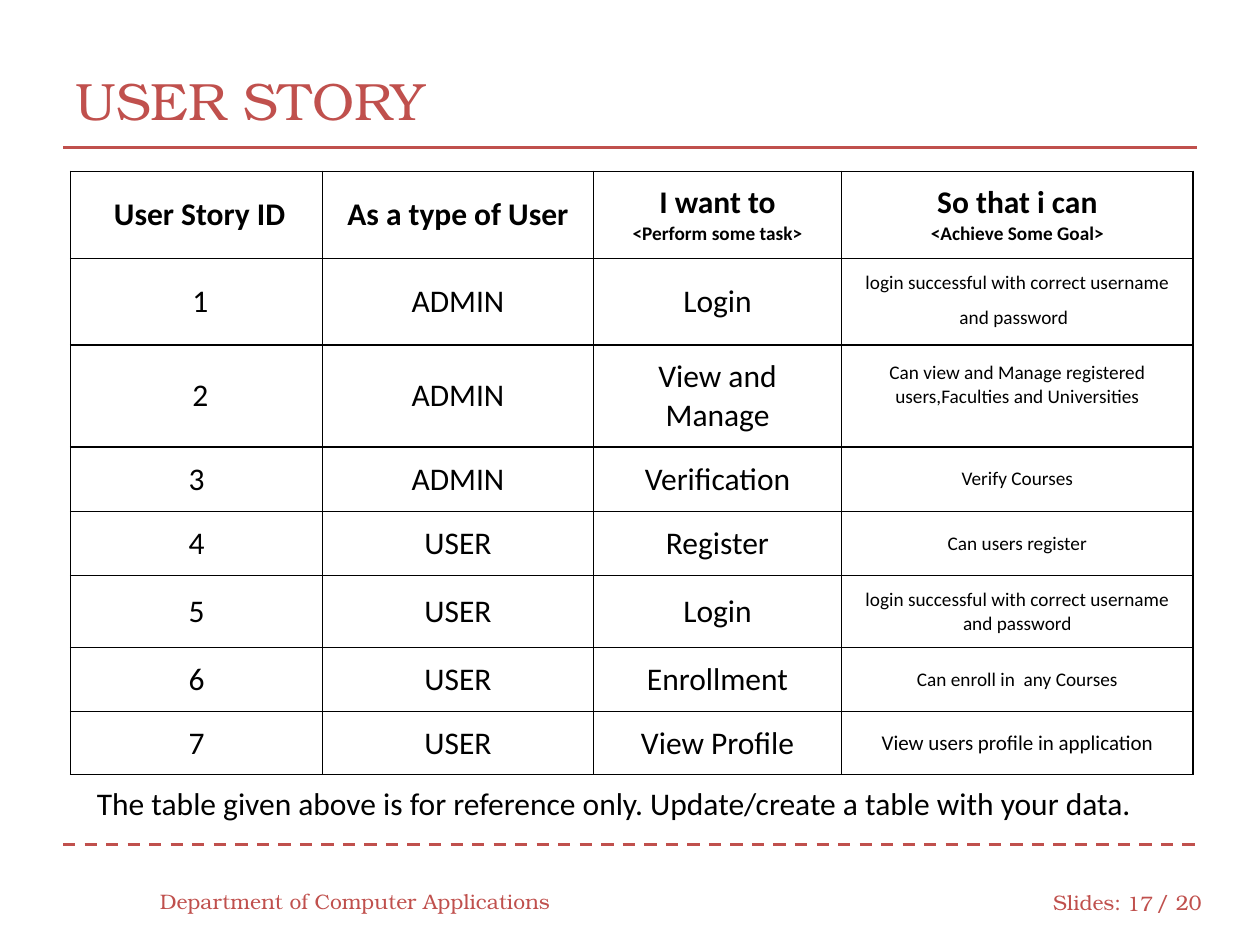
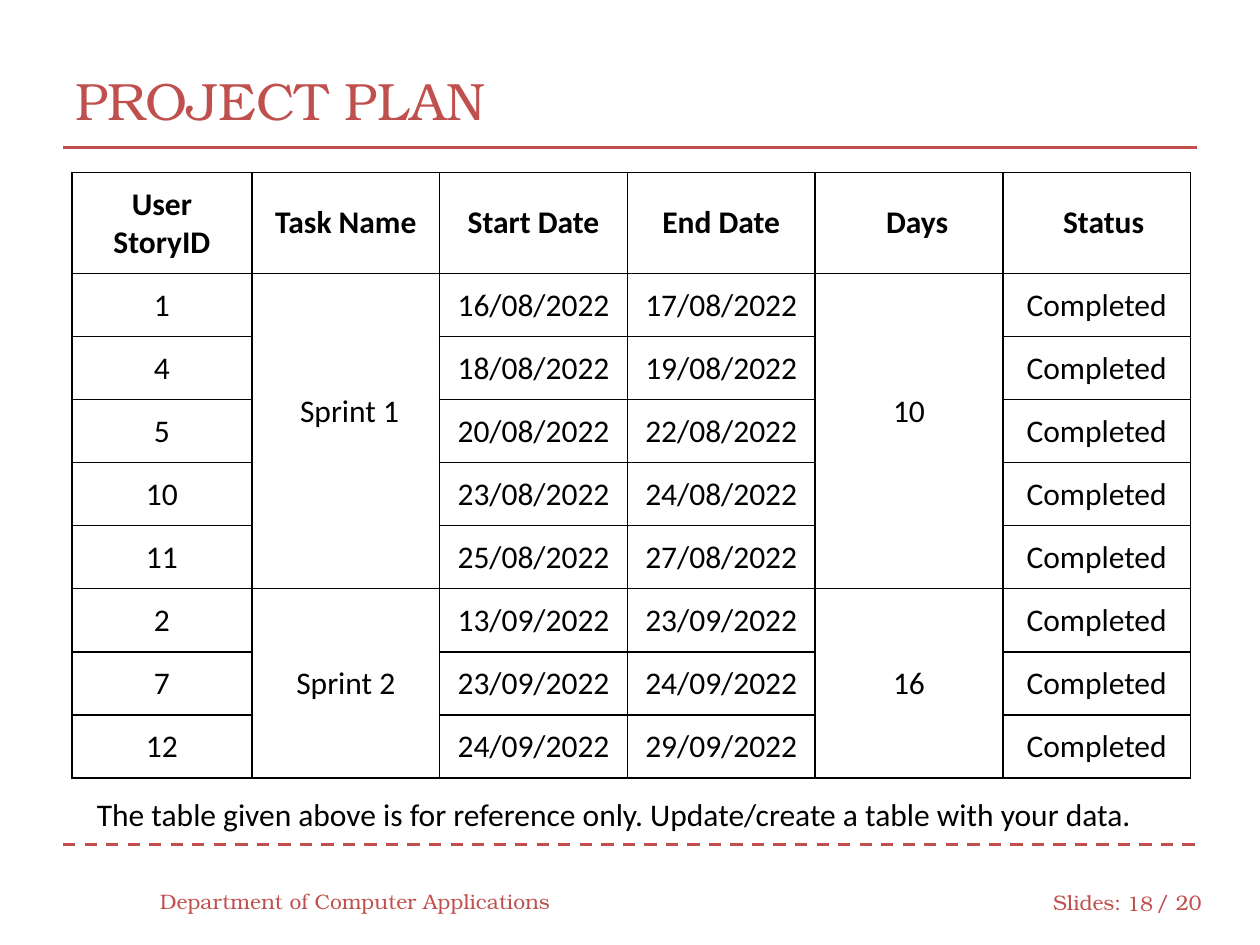
from lxml.etree import SubElement
from pptx import Presentation
from pptx.dml.color import RGBColor
from pptx.enum.dml import MSO_LINE
from pptx.enum.shapes import MSO_CONNECTOR
from pptx.enum.text import MSO_ANCHOR, PP_ALIGN
from pptx.oxml import parse_xml
from pptx.oxml.ns import nsdecls, qn
from pptx.util import Inches, Pt

ACCENT, INK, PAPER = "C0504D", "000000", "FFFFFF"
BRAND_FONT, BODY_FONT = "TeX Gyre Bonum", "Calibri"
DEPARTMENT = "Department of Computer Applications"
REMARK = "The table given above is for reference only. Update/create a table with your data."
SLIDE_TOTAL = 20
CELL_MARGIN = 0.1

STORIES = [
    ["User Story ID", "As a type of User", "I want to\n<Perform some task>", "So that i can\n<Achieve Some Goal>"],
    ["1", "ADMIN", "Login", "login successful with correct username and password"],
    ["2", "ADMIN", "View and Manage", "Can view and Manage registered users,Faculties and Universities"],
    ["3", "ADMIN", "Verification", "Verify Courses"],
    ["4", "USER", "Register", "Can users register"],
    ["5", "USER", "Login", "login successful with correct username and password"],
    ["6", "USER", "Enrollment", "Can enroll in  any Courses"],
    ["7", "USER", "View Profile", "View users profile in application"],
]
PLAN_HEADER = ["User\nStoryID", "Task Name", "Start Date", "End Date", "Days", "Status"]
SPRINTS = [
    ("Sprint 1", "10", [
        ("1", "16/08/2022", "17/08/2022"),
        ("4", "18/08/2022", "19/08/2022"),
        ("5", "20/08/2022", "22/08/2022"),
        ("10", "23/08/2022", "24/08/2022"),
        ("11", "25/08/2022", "27/08/2022"),
    ]),
    ("Sprint 2", "16", [
        ("2", "13/09/2022", "23/09/2022"),
        ("7", "23/09/2022", "24/09/2022"),
        ("12", "24/09/2022", "29/09/2022"),
    ]),
]


def colour(hex_code):
    return RGBColor.from_string(hex_code)


def style_paragraph(paragraph, size, font, ink, bold=False, align=PP_ALIGN.LEFT):
    paragraph.alignment = align
    for run in paragraph.runs:
        run.font.size = Pt(size)
        run.font.name = font
        run.font.bold = bold
        run.font.color.rgb = colour(ink)


def add_text(slide, text, box, size, font=BRAND_FONT, ink=ACCENT,
             align=PP_ALIGN.LEFT, anchor=MSO_ANCHOR.MIDDLE):
    frame = slide.shapes.add_textbox(*map(Inches, box)).text_frame
    frame.word_wrap = True
    frame.vertical_anchor = anchor
    frame.text = text
    style_paragraph(frame.paragraphs[0], size, font, ink, align=align)


def add_rule(slide, top, dash=None):
    rule = slide.shapes.add_connector(
        MSO_CONNECTOR.STRAIGHT, Inches(0.5), Inches(top), Inches(9.5), Inches(top))
    rule.line.color.rgb = colour(ACCENT)
    rule.line.width = Pt(1.75)
    if dash:
        rule.line.dash_style = dash
    SubElement(rule._element.spPr, qn("a:effectLst"))


def add_frame(prs, title, number, remark_top):
    slide = prs.slides.add_slide(prs.slide_layouts[6])
    add_rule(slide, 1.17)
    add_rule(slide, 6.7, MSO_LINE.DASH)
    add_text(slide, title, (0.5, 0.33, 9, 0.92), 30)
    add_text(slide, DEPARTMENT, (1.17, 6.95, 3.33, 0.4), 12)
    add_text(slide, "Slides:", (8.26, 6.96, 0.75, 0.4), 12)
    add_text(slide, str(number), (8.83, 6.97, 0.42, 0.4), 12, align=PP_ALIGN.RIGHT)
    add_text(slide, f"/ {SLIDE_TOTAL}", (9.08, 6.96, 0.58, 0.4), 12)
    add_text(slide, REMARK, (0.67, remark_top, 8.58, 0.4), 18, BODY_FONT, INK,
             anchor=MSO_ANCHOR.TOP)
    return slide


def add_borders(cell):
    properties = cell._tc.get_or_add_tcPr()
    for position, side in enumerate("LRTB"):
        properties.insert(position, parse_xml(
            f'<a:ln{side} {nsdecls("a")} w="12700"><a:solidFill>'
            f'<a:srgbClr val="{INK}"/></a:solidFill></a:ln{side}>'))


def fill_cell(cell, text, bold, size, shift):
    right_shift, up_shift = shift
    cell.text_frame.text = text
    cell.vertical_anchor = MSO_ANCHOR.MIDDLE
    cell.margin_left = Inches(CELL_MARGIN + right_shift)
    cell.margin_right = cell.margin_top = Inches(CELL_MARGIN)
    cell.margin_bottom = Inches(CELL_MARGIN + up_shift)
    for paragraph in cell.text_frame.paragraphs:
        paragraph_size = 11 if paragraph.text.startswith("<") else size
        style_paragraph(paragraph, paragraph_size, BODY_FONT, INK, bold, PP_ALIGN.CENTER)
    cell.fill.solid()
    cell.fill.fore_color.rgb = colour(PAPER)
    add_borders(cell)


def add_grid(slide, left, top, widths, heights, rows, sizes, shifts):
    grid = slide.shapes.add_table(
        len(rows), len(widths), Inches(left), Inches(top),
        Inches(sum(widths)), Inches(sum(heights))).table
    grid.first_row = grid.horz_banding = False
    for column, width in zip(grid.columns, widths):
        column.width = Inches(width)
    for row, height in zip(grid.rows, heights):
        row.height = Inches(height)
    for r, texts in enumerate(rows):
        for c, text in enumerate(texts):
            fill_cell(grid.cell(r, c), text, r == 0, sizes.get((r, c), 18),
                      shifts.get((r, c), (0, 0)))
    return grid


def add_user_story(prs):
    slide = add_frame(prs, "USER STORY", 17, 6.17)
    goal_sizes = {(r, 3): 11 for r in range(1, len(STORIES))}
    goal_sizes[7, 3] = 12
    shifts = {(0, 0): (0.05, 0), (1, 0): (0.06, 0), (2, 0): (0.06, 0), (2, 3): (0, 0.18)}
    grid = add_grid(slide, 0.56, 1.36, [2, 2.15, 1.97, 2.79],
                    [0.69, 0.69, 0.81, 0.51, 0.51, 0.57, 0.51, 0.5],
                    STORIES, goal_sizes, shifts)
    login_goal = grid.cell(1, 3).text_frame.paragraphs[0]
    closing_space = login_goal.add_run()
    closing_space.text = " "
    closing_space.font.size = Pt(18)


def add_project_plan(prs):
    slide = add_frame(prs, "PROJECT PLAN", 18, 6.26)
    rows, spans = [PLAN_HEADER], []
    for sprint, days, tasks in SPRINTS:
        first = len(rows)
        for i, (story, start, end) in enumerate(tasks):
            rows.append([story, "" if i else sprint, start, end, "" if i else days, "Completed"])
        spans.append((first, len(rows) - 1))
    shifts = {(0, 4): (0.13, 0), (0, 5): (0.11, 0), (1, 1): (0.06, 0.3), (1, 4): (0, 0.3)}
    grid = add_grid(slide, 0.57, 1.37, [1.43] + [1.49] * 5,
                    [0.8] + [0.5] * (len(rows) - 1), rows, {}, shifts)
    for first, last in spans:
        for c in (1, 4):
            grid.cell(first, c).merge(grid.cell(last, c))


def main():
    prs = Presentation()
    prs.slide_width, prs.slide_height = Inches(10), Inches(7.5)
    add_user_story(prs)
    add_project_plan(prs)
    prs.save("out.pptx")


if __name__ == "__main__":
    main()
